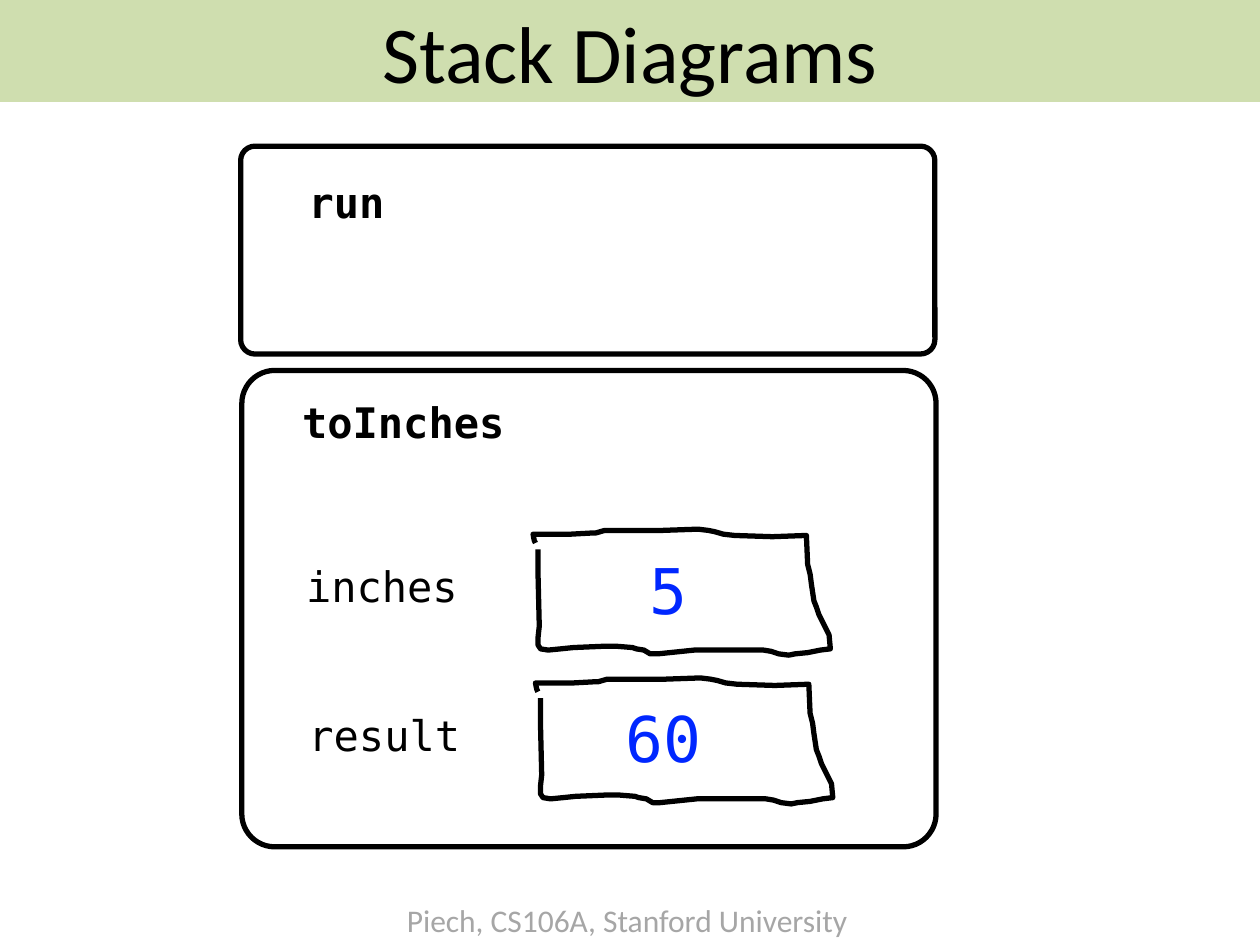
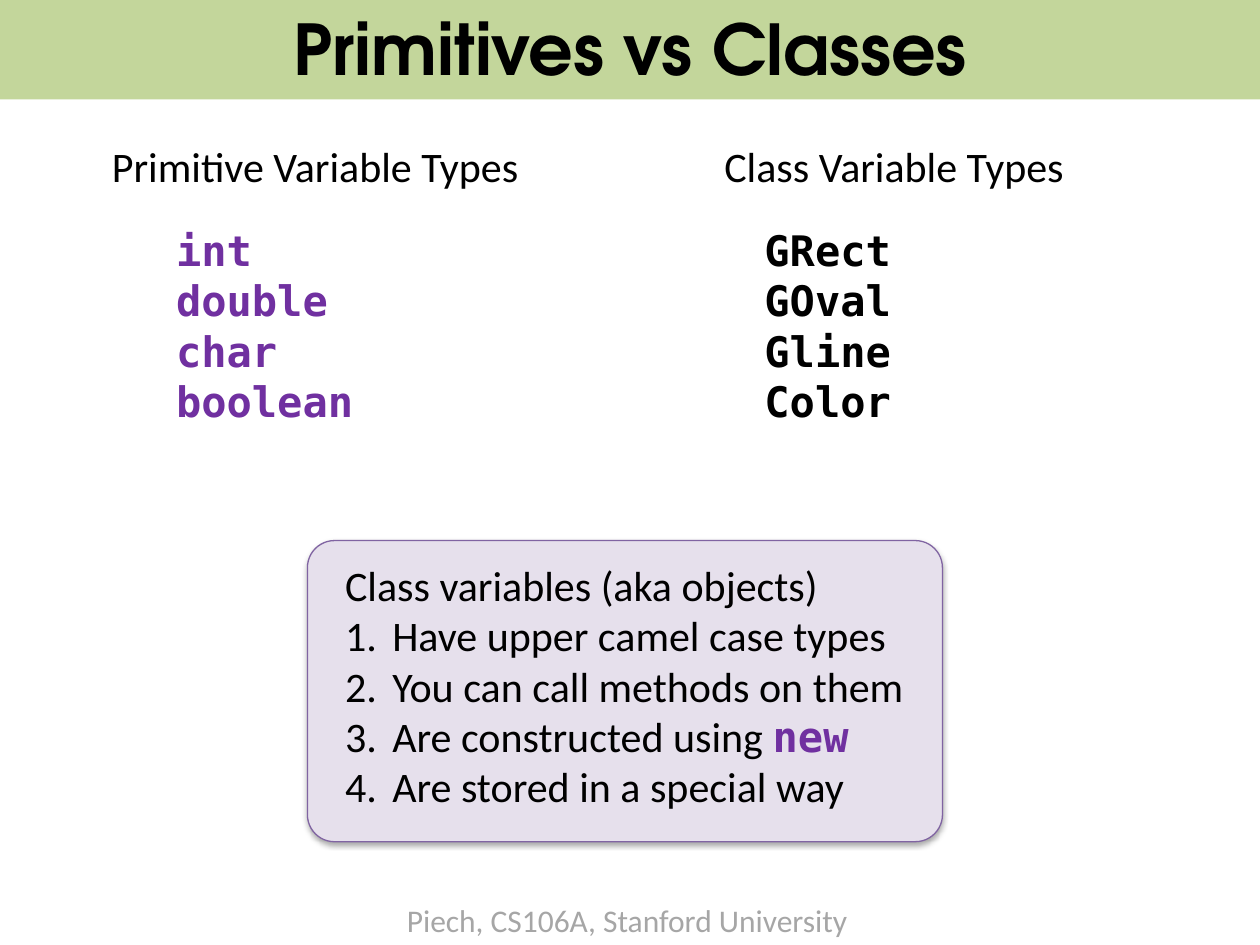
import pptx
import pptx.dml.color
import pptx.enum.shapes
import pptx.enum.text
import pptx.util
from lxml import etree
from pptx.oxml.ns import qn

Pt = pptx.util.Pt
SHAPE = pptx.enum.shapes.MSO_SHAPE
WIDTH, HEIGHT = 720, 540
FOOTER = "Piech, CS106A, Stanford University"
BLACK, GRAY, BLUE, PURPLE = "000000", "A6A6A6", "0027FF", "7030A0"
GREEN, LILAC, VIOLET = "C3D69B", "E6E0EC", "8064A2"

BODY = {"name": "Calibri", "size": 24, "color": BLACK, "bold": False}
NOTE = BODY | {"size": 18, "color": GRAY}
CODE = BODY | {"name": "DejaVu Sans Mono"}
CODE_BOLD = CODE | {"bold": True}
KEYWORD = CODE_BOLD | {"color": PURPLE}
VALUE = CODE | {"size": 36, "color": BLUE}

STACK = {
    "title": "Stack Diagrams",
    "style": BODY | {"size": 46},
    "band": (0, 58.3, 80),
    "frames": [(137.5, 83.5, 396.7, 118.8), (138.2, 211.7, 396.7, 272.2)],
    "names": [("run", 169.2, 97.2), ("toInches", 165.6, 223.2)],
    "variables": [("inches", 167.8, "5", 364.3), ("result", 169.2, "60", 350.6)],
}
SLOT_LEFT, SLOT_TOP, SLOT_STEP_X, SLOT_STEP_Y = 304.6, 302.4, 1.4, 85
SLOT_UNIT = 0.72
SLOT_OUTLINE = [
    (4, 16), (4, 36), (5, 77), (4, 86), (4, 92), (6, 95), (12, 96), (22, 95),
    (32, 94), (55, 93), (67, 93), (79, 94), (82, 95), (88, 96), (93, 99), (99, 99),
    (128, 96), (150, 96), (183, 96), (189, 97), (195, 99), (203, 100), (208, 99),
    (218, 98), (228, 96), (236, 95), (235, 84), (232, 78), (230, 74), (227, 68),
    (225, 62), (223, 57), (221, 44), (220, 36), (218, 28), (217, 5), (190, 6),
    (160, 5), (151, 4), (144, 2), (139, 1), (131, 0), (103, 1), (57, 1), (50, 3),
    (48, 3), (30, 4), (0, 4), (1, 9), (2, 11),
]

TYPES = {
    "title": "Primitives vs Classes",
    "style": BODY | {"name": "TeX Gyre Adventor", "size": 40, "bold": True},
    "band": (-2.2, 59, 100),
    "columns": [
        ("Primitive Variable Types", 56.9, 249, ["int", "double", "char", "boolean"], 93.6, KEYWORD),
        ("Class Variable Types", 406.8, 284.4, ["GRect", "GOval", "Gline", "Color"], 429.8, CODE_BOLD),
    ],
    "card": (175.7, 308.9, 362.9, 172.1),
    "card_text": (190.1, 316.1, 338.4, 153.4),
    "card_head": "Class variables (aka objects)",
    "card_points": [
        [("Have upper camel case types", BODY)],
        [("You can call methods on them", BODY)],
        [("Are constructed using ", BODY), ("new", KEYWORD)],
        [("Are stored in a special way", BODY)],
    ],
}


def rgb(color):
    return pptx.dml.color.RGBColor.from_string(color)


def add_run(p, text, style):
    r = p.add_run()
    r.text = text
    for key, value in style.items():
        if key == "color":
            r.font.color.rgb = rgb(value)
        else:
            setattr(r.font, key, Pt(value) if key == "size" else value)


def add_text(s, box, paragraphs, numbered_from=None):
    tf = s.shapes.add_textbox(*map(Pt, box)).text_frame
    tf.word_wrap = False
    tf.auto_size = pptx.enum.text.MSO_AUTO_SIZE.SHAPE_TO_FIT_TEXT
    for i, runs in enumerate(paragraphs):
        p = tf.paragraphs[0] if i == 0 else tf.add_paragraph()
        if numbered_from is not None and i >= numbered_from:
            ppr = p._p.get_or_add_pPr()
            ppr.set("marL", str(Pt(27)))
            ppr.set("indent", str(-Pt(27)))
            etree.SubElement(ppr, qn("a:buFont"), typeface="+mj-lt")
            etree.SubElement(ppr, qn("a:buAutoNum"), type="arabicPeriod")
        for text, style in runs:
            add_run(p, text, style)


def add_code(s, left, top, lines, style):
    width = 0.602 * style["size"] * max(map(len, lines)) + 14.4
    height = 1.17 * style["size"] * len(lines) + 7.2
    add_text(s, (left, top, width, height), [[(line, style)] for line in lines])


def paint(sp, fill=None, line=None, weight=3):
    sp.shadow.inherit = False
    if fill:
        sp.fill.solid()
        sp.fill.fore_color.rgb = rgb(fill)
    else:
        sp.fill.background()
    if line:
        sp.line.color.rgb = rgb(line)
        sp.line.width = Pt(weight)
    else:
        sp.line.fill.background()


def add_round_rect(s, box, radius, **look):
    sp = s.shapes.add_shape(SHAPE.ROUNDED_RECTANGLE, *map(Pt, box))
    sp.adjustments[0] = radius
    paint(sp, **look)
    return sp


def add_shadow(sp):
    effects = sp._element.spPr.find(qn("a:effectLst"))
    shadow = etree.SubElement(effects, qn("a:outerShdw"), blurRad=str(Pt(3.1)),
                              dist=str(Pt(1.8)), dir="5400000", rotWithShape="0")
    color = etree.SubElement(shadow, qn("a:srgbClr"), val=BLACK)
    etree.SubElement(color, qn("a:alpha"), val="35000")


def add_slide(prs, content):
    s = prs.slides.add_slide(prs.slide_layouts[6])
    add_text(s, (225.4, 511.2, 269.3, 28.8), [[(FOOTER, NOTE)]])
    top, height, opacity = content["band"]
    sp = s.shapes.add_shape(SHAPE.RECTANGLE, 0, Pt(top), Pt(WIDTH), Pt(height))
    paint(sp, fill=GREEN)
    if opacity < 100:
        color = sp._element.spPr.find(qn("a:solidFill"))[0]
        etree.SubElement(color, qn("a:alpha"), val=str(opacity * 1000))
    tf = sp.text_frame
    tf.vertical_anchor = pptx.enum.text.MSO_ANCHOR.MIDDLE
    p = tf.paragraphs[0]
    p.alignment = pptx.enum.text.PP_ALIGN.CENTER
    add_run(p, content["title"], content["style"])
    return s


def add_slot(s, left, top):
    builder = s.shapes.build_freeform(*SLOT_OUTLINE[0], scale=Pt(SLOT_UNIT))
    builder.add_line_segments(SLOT_OUTLINE[1:], close=False)
    paint(builder.convert_to_shape(Pt(left), Pt(top)), line=BLACK)


def build_stack(prs):
    s = add_slide(prs, STACK)
    for box, radius in zip(STACK["frames"], (0.069, 0.069)):
        add_round_rect(s, box, radius, line=BLACK)
    for name, left, top in STACK["names"]:
        add_code(s, left, top, [name], CODE_BOLD)
    for i, (name, name_left, value, value_left) in enumerate(STACK["variables"]):
        top = SLOT_TOP + i * SLOT_STEP_Y
        add_slot(s, SLOT_LEFT + i * SLOT_STEP_X, top)
        add_code(s, name_left, top + 14.4, [name], CODE)
        add_code(s, value_left, top + 9, [value], VALUE)


def build_types(prs):
    s = add_slide(prs, TYPES)
    for head, left, width, names, names_left, style in TYPES["columns"]:
        add_text(s, (left, 77, width, 36), [[(head, BODY)]])
        add_code(s, names_left, 124.6, names, style)
    card = add_round_rect(s, TYPES["card"], 0.09, fill=LILAC, line=VIOLET, weight=0.75)
    add_shadow(card)
    lines = [[(TYPES["card_head"], BODY)]] + TYPES["card_points"]
    add_text(s, TYPES["card_text"], lines, numbered_from=1)


def main():
    prs = pptx.Presentation()
    prs.slide_width, prs.slide_height = Pt(WIDTH), Pt(HEIGHT)
    build_stack(prs)
    build_types(prs)
    prs.save("out.pptx")


if __name__ == "__main__":
    main()
